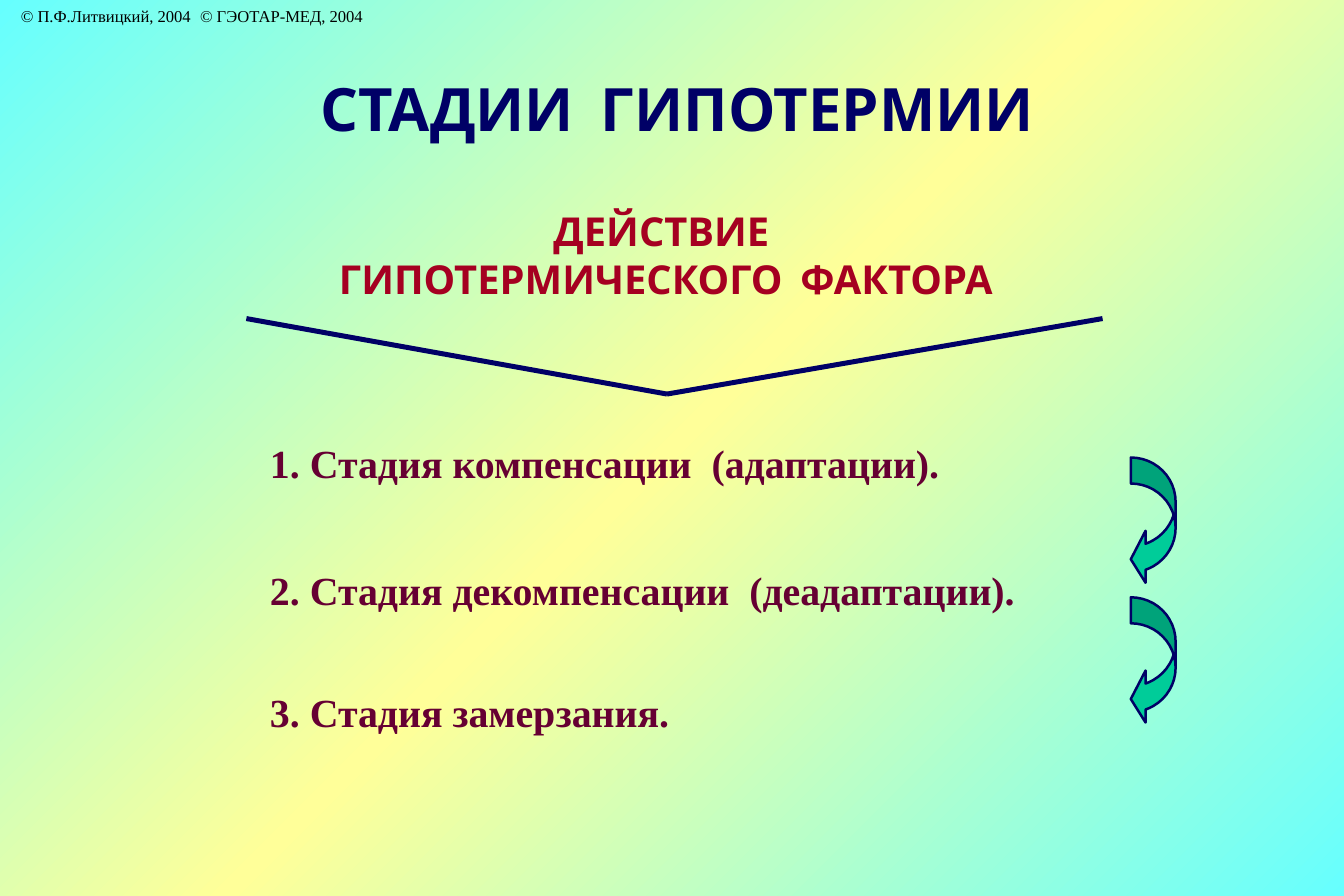
from copy import deepcopy

from pptx import Presentation
from pptx.dml.color import RGBColor
from pptx.enum.shapes import MSO_CONNECTOR, MSO_SHAPE
from pptx.enum.text import MSO_ANCHOR, MSO_AUTO_SIZE, PP_ALIGN
from pptx.oxml.ns import qn
from pptx.util import Pt

STRAIGHT = MSO_CONNECTOR.STRAIGHT
CURVED_LEFT_ARROW = MSO_SHAPE.CURVED_LEFT_ARROW
TOP = MSO_ANCHOR.TOP
NO_AUTOFIT = MSO_AUTO_SIZE.NONE
LEFT, CENTER = PP_ALIGN.LEFT, PP_ALIGN.CENTER

NAVY = RGBColor(0x00, 0x00, 0x66)
CRIMSON = RGBColor(0xA5, 0x00, 0x21)
PLUM = RGBColor(0x66, 0x00, 0x33)
GREEN = RGBColor(0x00, 0xCC, 0x99)
BLACK = RGBColor(0x00, 0x00, 0x00)
CYAN = RGBColor(0x66, 0xFF, 0xFF)
YELLOW = RGBColor(0xFF, 0xFF, 0x99)

HEADING_FONT = "Cabin"
BODY_FONT = "Times New Roman"

STAGES = [
    "1. Стадия компенсации  (адаптации).",
    "2. Стадия декомпенсации  (деадаптации).",
    "3. Стадия замерзания.",
]
STAGE_GAPS = [0, 48, 44.5]


def set_background(slide):
    fill = slide.background.fill
    fill.gradient()
    fill.gradient_angle = 315
    stop_list = slide.element.find(".//" + qn("a:gsLst"))
    stop_list.insert(1, deepcopy(stop_list[0]))
    colors = [(0, CYAN), (0.5, YELLOW), (1, CYAN)]
    for stop, (position, color) in zip(fill.gradient_stops, colors):
        stop.position = position
        stop.color.rgb = color


def place(shape, left, top, width, height):
    shape.left, shape.top = Pt(left), Pt(top)
    shape.width, shape.height = Pt(width), Pt(height)


def write_text(shape, lines, font_name, size, color, bold=True, align=LEFT, gaps=None):
    frame = shape.text_frame
    frame.word_wrap = True
    frame.auto_size = NO_AUTOFIT
    frame.vertical_anchor = TOP
    frame.text = "\n".join(lines)
    for paragraph, gap in zip(frame.paragraphs, gaps or [0] * len(lines)):
        paragraph.alignment = align
        paragraph.space_before = Pt(gap)
        properties = paragraph._p.get_or_add_pPr()
        properties.set("marL", "0")
        properties.set("indent", "0")
        properties.append(properties.makeelement(qn("a:buNone"), {}))
        font = paragraph.font
        font.name, font.size, font.bold = font_name, Pt(size), bold
        font.color.rgb = color


def add_text_box(slide, left, top, width, height):
    return slide.shapes.add_textbox(Pt(left), Pt(top), Pt(width), Pt(height))


def add_line(slide, start, end):
    line = slide.shapes.add_connector(STRAIGHT, *map(Pt, start + end))
    line.line.color.rgb = NAVY
    line.line.width = Pt(3)
    properties = line._element.spPr
    properties.append(properties.makeelement(qn("a:effectLst"), {}))


def add_stage_arrow(slide, top):
    arrow = slide.shapes.add_shape(CURVED_LEFT_ARROW, Pt(681.5), Pt(top), Pt(27), Pt(77))
    arrow.adjustments[0] = 0.58
    arrow.adjustments[1] = 1.16
    arrow.adjustments[2] = 0.33
    arrow.shadow.inherit = False
    arrow.fill.solid()
    arrow.fill.fore_color.rgb = GREEN
    arrow.line.color.rgb = NAVY
    arrow.line.width = Pt(1.5)


def add_copyright(slide):
    box = add_text_box(slide, 5.5, 0, 804, 19.5)
    write_text(box, ["© П.Ф.Литвицкий, 2004\t© ГЭОТАР-МЕД, 2004"], BODY_FONT, 10, BLACK, bold=False)
    properties = box.text_frame.paragraphs[0]._p.pPr
    tabs = properties.makeelement(qn("a:tabLst"), {})
    tabs.append(tabs.makeelement(qn("a:tab"), {"pos": str(Pt(667)), "algn": "l"}))
    properties.find(qn("a:buNone")).addnext(tabs)


def main():
    presentation = Presentation()
    presentation.slide_width, presentation.slide_height = Pt(810), Pt(540)
    slide = presentation.slides.add_slide(presentation.slide_layouts[1])
    set_background(slide)

    # Title and the acting factor
    title, stages = slide.placeholders
    place(title, 60.5, 39.5, 695.5, 50.5)
    write_text(title, ["СТАДИИ  ГИПОТЕРМИИ"], HEADING_FONT, 36, NAVY, align=CENTER)
    factor = add_text_box(slide, 74, 121, 654.5, 65)
    write_text(factor, ["ДЕЙСТВИЕ ", "ГИПОТЕРМИЧЕСКОГО  ФАКТОРА"],
               HEADING_FONT, 24, CRIMSON, align=CENTER)

    # Wide chevron pointing from the factor to the stages
    for outer_x in (148.5, 664.5):
        add_line(slide, (402, 237.5), (outer_x, 192))

    # Stages and the transitions between them
    place(stages, 155.5, 260.5, 566.5, 184)
    write_text(stages, STAGES, BODY_FONT, 24, PLUM, gaps=STAGE_GAPS)
    for arrow_top in (275.75, 360):
        add_stage_arrow(slide, arrow_top)

    add_copyright(slide)
    presentation.save("out.pptx")


if __name__ == "__main__":
    main()
